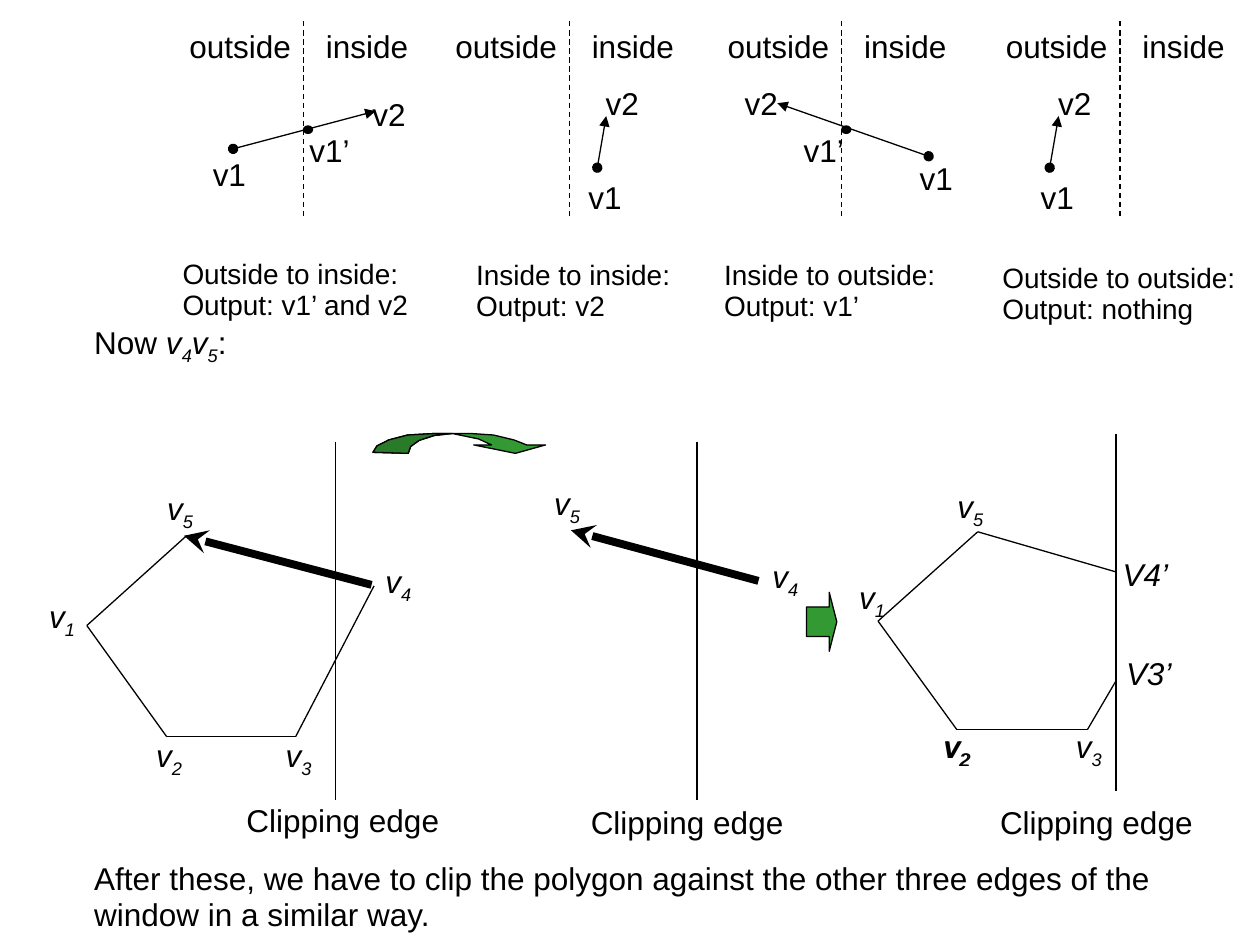
"""Build a slide on clipping polygon edge v4v5 against one clipping edge."""
import itertools

import lxml.etree
import pptx
import pptx.dml.color
import pptx.enum.dml
import pptx.enum.shapes
import pptx.enum.text
import pptx.oxml.ns
import pptx.util

Cm = pptx.util.Cm
Pt = pptx.util.Pt
color = pptx.dml.color.RGBColor.from_string
qn = pptx.oxml.ns.qn
BLACK, GREEN, DARK_GREEN = "000000", "339933", "297A29"
STYLES = {
    "plain": {"italic": False},
    "italic": {"italic": True},
    "subscript": {"italic": True},
}

presentation = pptx.Presentation()
presentation.slide_width = Cm(25.4)
presentation.slide_height = Cm(19.05)
slide = presentation.slides.add_slide(presentation.slide_layouts[6])
shapes = slide.shapes


def add_text(lines, left, top, width, height=0.97, size=18, tab=None):
    """Add a text box; each line is a list of (text, style) runs."""
    box = shapes.add_textbox(Cm(left), Cm(top), Cm(width), Cm(height))
    frame = box.text_frame
    frame_format = {"word_wrap": True, "margin_right": 0,
                    "auto_size": pptx.enum.text.MSO_AUTO_SIZE.SHAPE_TO_FIT_TEXT}
    for name, value in frame_format.items():
        setattr(frame, name, value)
    for index, line in enumerate(lines):
        paragraph = frame.add_paragraph() if index else frame.paragraphs[0]
        paragraph.line_spacing = 0.93
        if tab:
            tabs = lxml.etree.SubElement(paragraph._p.get_or_add_pPr(), qn("a:tabLst"))
            lxml.etree.SubElement(tabs, qn("a:tab"), pos=str(Cm(tab)), algn="l")
        for text, style in line:
            run = paragraph.add_run()
            run.text = text
            font_format = {"name": "Arial", "size": Pt(size), **STYLES[style]}
            for name, value in font_format.items():
                setattr(run.font, name, value)
            run.font.color.rgb = color(BLACK)
            if style == "subscript":
                run.font._element.set("baseline", "-25000")


def add_line(start, end, width=0.75, dashed=False, head=None, tail=None):
    """Add a straight black line with optional ends."""
    line = shapes.add_connector(
        pptx.enum.shapes.MSO_CONNECTOR.STRAIGHT, *[Cm(value) for value in (*start, *end)])
    line.line.width = Pt(width)
    line.line.color.rgb = color(BLACK)
    if dashed:
        line.line.dash_style = pptx.enum.dml.MSO_LINE.DASH
    for tag, kind in (("a:headEnd", head), ("a:tailEnd", tail)):
        if kind:
            lxml.etree.SubElement(line.line._get_or_add_ln(), qn(tag), type=kind)
    lxml.etree.SubElement(line._element.spPr, qn("a:effectLst"))


filled_shapes = []

polygon_before = [(3.76, 10.8), (1.75, 12.61), (3.36, 14.85), (5.96, 14.85), (7.54, 11.81)]
polygon_after = [(22.5, 11.53), (19.71, 10.72), (17.7, 12.52),
                 (19.29, 14.71), (21.92, 14.71), (22.5, 13.72)]
for polygon in (polygon_before, polygon_after):
    for start, end in itertools.pairwise(polygon):
        add_line(start, end)

for edge, top, label_left, label_top in (
        (6.76, 8.92, 4.72, 16.1), (14.05, 8.92, 11.66, 16.13), (22.5, 8.74, 19.91, 16.13)):
    add_line((edge, top), (edge, top + 7.2))
    add_text([[("Clipping edge", "plain")]], label_left, label_top, 4.39)

for start, end in (((7.49, 11.79), (3.71, 10.8)), ((15.29, 11.71), (11.51, 10.69))):
    add_line(start, end, width=4.5, tail="stealth")

vertex_labels = [
    ("1", 0.74, 11.91), ("5", 3.12, 9.73), ("2", 2.9, 14.71), ("3", 5.51, 14.71),
    ("4", 7.52, 11.2), ("5", 10.92, 9.63), ("4", 15.32, 11.1), ("1", 17.07, 11.53),
    ("2", 18.77, 14.53), ("2", 18.8, 14.53), ("3", 21.44, 14.53), ("5", 19.05, 9.7),
]
for number, left, top in vertex_labels:
    add_text([[("v", "italic"), (number, "subscript")]], left, top, 1.02, 1.07)
for label, left, top in (("V3’", 22.45, 13.13), ("V4’", 22.38, 11.13)):
    add_text([[(label, "italic")]], left, top, 1.42)

outer_arc = [(7.52, 9.12), (7.6, 8.99), (7.84, 8.87), (8.22, 8.77), (8.76, 8.74)]
arrow_head = [(9.5, 8.74), (9.95, 8.77), (10.36, 8.87), (10.62, 8.97), (11, 8.97),
              (10.39, 9.14), (9.55, 8.97), (9.91, 8.97), (9.65, 8.85)]
inner_arc = [(9.12, 8.74), (8.75, 8.78), (8.45, 8.88), (8.28, 9), (8.23, 9.14)]
for outline, fill in ((outer_arc + arrow_head + inner_arc, GREEN),
                      (outer_arc + inner_arc, DARK_GREEN)):
    points = [(Cm(x), Cm(y)) for x, y in outline]
    builder = shapes.build_freeform(*points[0])
    builder.add_line_segments(points[1:], close=True)
    filled_shapes.append((builder.convert_to_shape(), fill))

right_arrow = shapes.add_shape(
    pptx.enum.shapes.MSO_SHAPE.RIGHT_ARROW, Cm(16.26), Cm(11.94), Cm(0.61), Cm(1.19))
right_arrow.adjustments[0] = 0.5
right_arrow.adjustments[1] = 0.25
filled_shapes.append((right_arrow, GREEN))

add_text([[("Now ", "plain"), ("v", "italic"), ("4", "subscript"), ("v", "italic"),
           ("5", "subscript"), (":", "plain")]], 1.65, 6.38, 22.25, 1.07)
add_text([[("After these, we have to clip the polygon against the other three edges "
            "of the window in a similar way.", "plain")]], 1.65, 17.27, 22.25, 1.68)

cases = [
    {"divider": 6.12, "vector": ((4.7, 3), (7.57, 2.24)),
     "labels": {"v1": (4.04, 3.07), "v1’": (5.99, 2.59), "v2": (7.26, 1.85)},
     "caption": ("Outside to inside:", "Output: v1’ and v2"), "place": (3.43, 5.11, 5.08)},
    {"divider": 11.48, "vector": ((12.04, 3.38), (12.22, 2.34)),
     "labels": {"v1": (11.61, 3.53), "v2": (11.96, 1.63)},
     "caption": ("Inside to inside:", "Output: v2"), "place": (9.35, 5.13, 4.42)},
    {"divider": 16.97, "vector": ((18.72, 3.15), (15.67, 2.08)),
     "labels": {"v1": (18.29, 3.15), "v1’": (15.95, 2.59), "v2": (14.76, 1.63)},
     "caption": ("Inside to outside:", "Output: v1’"), "place": (14.35, 5.13, 4.75)},
    {"divider": 22.58, "vector": ((21.16, 3.38), (21.34, 2.34)),
     "labels": {"v1": (20.73, 3.53), "v2": (21.08, 1.63)},
     "caption": ("Outside to outside:", "Output: nothing"), "place": (19.96, 5.18, 5.21)},
]
for case in cases:
    divider = case["divider"]
    add_line((divider, 0.43), (divider, 4.37), dashed=True)
    add_text([[("outside\tinside", "plain")]], divider - 2.55, 0.48, 4.9, tab=2.75)
    add_line(*case["vector"], head="oval", tail="triangle")
    for label, (left, top) in case["labels"].items():
        add_text([[(label, "plain")]], left, top, 1.32 if label == "v1’" else 1.17)
    if "v1’" in case["labels"]:
        crossing = shapes.add_shape(
            pptx.enum.shapes.MSO_SHAPE.OVAL, Cm(divider), Cm(2.54), Cm(0.18), Cm(0.15))
        filled_shapes.append((crossing, BLACK))
    add_text([[(line, "plain")] for line in case["caption"]], *case["place"], 1.52, size=16)

for shape, fill in filled_shapes:
    shape.shadow.inherit = False
    shape.fill.solid()
    shape.fill.fore_color.rgb = color(fill)
    shape.line.color.rgb = color(BLACK)
    shape.line.width = Pt(0.75)

presentation.save("out.pptx")
